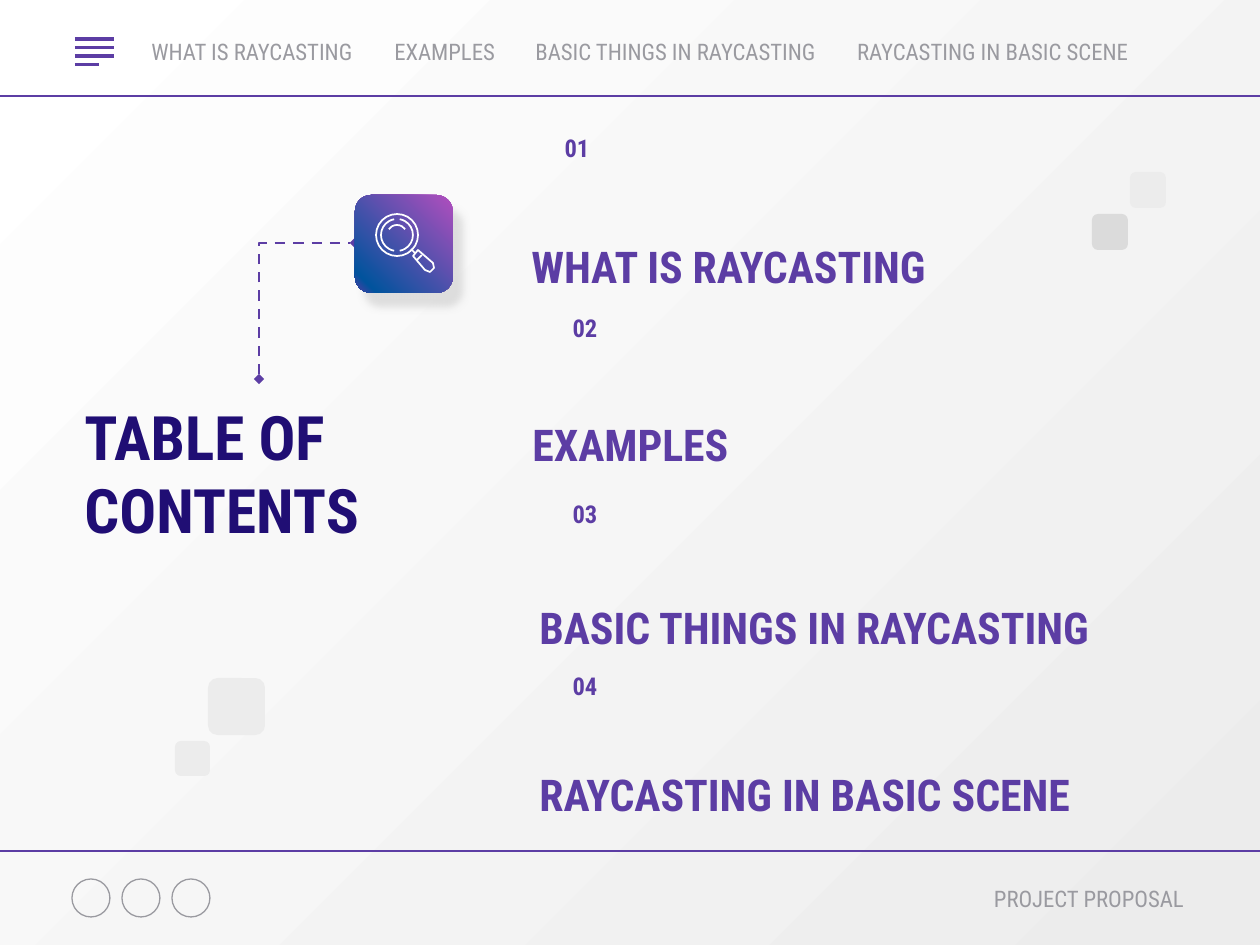
from lxml import etree
from pptx import Presentation
from pptx.dml.color import RGBColor
from pptx.enum.dml import MSO_LINE
from pptx.enum.shapes import MSO_CONNECTOR, MSO_SHAPE
from pptx.enum.text import MSO_ANCHOR, PP_ALIGN
from pptx.oxml.ns import qn
from pptx.util import Pt

PX = 914400 / 126
FONT = "Roboto Condensed"
LEFT, CENTER, RIGHT = PP_ALIGN.LEFT, PP_ALIGN.CENTER, PP_ALIGN.RIGHT
TOP, MIDDLE = MSO_ANCHOR.TOP, MSO_ANCHOR.MIDDLE
ROUNDED, OVAL, ARC = MSO_SHAPE.ROUNDED_RECTANGLE, MSO_SHAPE.OVAL, MSO_SHAPE.ARC
STRAIGHT, ELBOW = MSO_CONNECTOR.STRAIGHT, MSO_CONNECTOR.ELBOW

PURPLE = RGBColor(0x5C, 0x3D, 0xA4)
NAVY = RGBColor(0x20, 0x0E, 0x74)
GRAY = RGBColor(0x9A, 0x9A, 0xA0)
SILVER = RGBColor(0xDB, 0xDB, 0xDB)
PALE = RGBColor(0xEC, 0xEC, 0xEC)
WHITE = RGBColor(0xFF, 0xFF, 0xFF)
PINK = RGBColor(0xB2, 0x4E, 0xBE)
BLUE = RGBColor(0x01, 0x53, 0x9D)
SHADOW = RGBColor(0xCC, 0xCC, 0xCC)

STYLES = {
    "title": {"size": Pt(35), "bold": True, "color": NAVY, "anchor": MIDDLE, "inset": 12.6},
    "heading": {"size": Pt(25), "bold": True, "color": PURPLE, "anchor": MIDDLE, "inset": 12.6},
    "number": {"size": Pt(14), "bold": True, "color": PURPLE, "anchor": TOP, "inset": 6.3},
    "label": {"size": Pt(13), "bold": False, "color": GRAY, "anchor": MIDDLE, "inset": 12.6},
}
# text, style, alignment, (left, top, width, height)
TEXTS = [
    ("TABLE OF CONTENTS", "title", LEFT, (72, 379, 375, 187)),
    ("WHAT IS RAYCASTING", "label", LEFT, (139, 24, 241, 55)),
    ("EXAMPLES", "label", LEFT, (382, 24, 131, 55)),
    ("BASIC THINGS IN RAYCASTING", "label", LEFT, (523, 24, 397, 55)),
    ("RAYCASTING IN BASIC SCENE", "label", CENTER, (840, 24, 305, 55)),
    ("PROJECT PROPOSAL", "label", RIGHT, (881, 871, 315, 55)),
    ("01", "number", CENTER, (527, 127, 100, 89)),
    ("WHAT IS RAYCASTING", "heading", LEFT, (519, 230, 479, 73)),
    ("02", "number", CENTER, (529, 307, 112, 89)),
    ("EXAMPLES", "heading", LEFT, (520, 408, 599, 73)),
    ("03", "number", CENTER, (529, 493, 112, 89)),
    ("BASIC THINGS IN RAYCASTING", "heading", LEFT, (527, 591, 682, 73)),
    ("04", "number", CENTER, (529, 665, 112, 89)),
    ("RAYCASTING IN BASIC SCENE", "heading", LEFT, (527, 758, 682, 73)),
]
# left, top, side, colour
SQUARES = [
    (1092, 214, 36, SILVER), (1130, 172, 36, PALE),
    (208, 678, 57, PALE), (175, 741, 35, PALE), (420, 241, 33, SILVER),
]
RULE_TOPS = [96, 851]
MENU_LEFT, MENU_TOP, MENU_GAP = 75, 39, 8.5
MENU_ENDS = [114, 114, 114, 99]
SOCIAL_LEFT, SOCIAL_TOP, SOCIAL_SIDE, SOCIAL_GAP, SOCIAL_COUNT = 72, 879, 38, 50, 3
ICON_BOX = (355, 195, 98, 98)
LENS_CENTER = (397, 235)
# radius, start and end angle in degrees
LENS_ARCS = [(16, 100, 260), (16, 280, 80), (10, 215, 325)]
HANDLE = [(413, 256), (418, 250), (433, 263), (434, 268), (430, 272), (425, 270)]
HANDLE_LINES = [(411, 249, 415, 253), (417, 260, 422, 255)]
ELBOW_START, ELBOW_END = (259, 379), (355, 243)


def emu(*lengths):
    return [round(length * PX) for length in lengths]


def add_node(parent, tag, **attributes):
    return etree.SubElement(parent, qn(tag), {k: str(v) for k, v in attributes.items()})


def set_gradient(fill, stops, clockwise):
    """Fill with (percent, colour) stops, the angle running clockwise."""
    fill.gradient()
    fill.gradient_angle = 360 - clockwise
    stop_list = fill.gradient_stops[0]._gs.getparent()
    for old in list(stop_list):
        stop_list.remove(old)
    for percent, color in stops:
        stop = add_node(stop_list, "a:gs", pos=percent * 1000)
        add_node(stop, "a:srgbClr", val=color)


def add_line(page, ends, color, width, kind=STRAIGHT):
    line = page.shapes.add_connector(kind, *emu(*ends))
    line.line.color.rgb = color
    line.line.width = Pt(width)
    add_node(line._element.spPr, "a:effectLst")
    return line


def paint(shape, fill=None, line=None, width=1):
    shape.shadow.inherit = False
    if fill is None:
        shape.fill.background()
    else:
        shape.fill.solid()
        shape.fill.fore_color.rgb = fill
    if line is None:
        shape.line.fill.background()
    else:
        shape.line.color.rgb = line
        shape.line.width = Pt(width)
    return shape


def add_circle(page, center, radius, color, width, kind=OVAL):
    x, y = center
    box = emu(x - radius, y - radius, 2 * radius, 2 * radius)
    return paint(page.shapes.add_shape(kind, *box), line=color, width=width)


def add_text(page, text, style, align, box):
    look = STYLES[style]
    frame = page.shapes.add_textbox(*emu(*box)).text_frame
    frame.word_wrap = True
    frame.vertical_anchor = look["anchor"]
    for side in ("left", "top", "right", "bottom"):
        setattr(frame, f"margin_{side}", emu(look["inset"])[0])
    para = frame.paragraphs[0]
    para.alignment = align
    span = para.add_run()
    span.text = text
    for name in ("size", "bold"):
        setattr(span.font, name, look[name])
    span.font.name = FONT
    span.font.color.rgb = look["color"]


def add_elbow(page):
    """Dashed path that rises from its start, then turns right to its end."""
    (x1, y1), (x2, y2) = ELBOW_START, ELBOW_END
    mid_x, mid_y = (x1 + x2) / 2, (y1 + y2) / 2
    half_w, half_h = (y1 - y2) / 2, (x2 - x1) / 2
    ends = (mid_x - half_w, mid_y - half_h, mid_x + half_w, mid_y + half_h)
    elbow = add_line(page, ends, PURPLE, 1.5, ELBOW)
    elbow.line.dash_style = MSO_LINE.DASH
    properties = elbow._element.spPr
    properties.find(qn("a:xfrm")).set("rot", str(270 * 60000))
    properties.find(qn("a:prstGeom")).set("prst", "bentConnector2")
    for tag in ("a:headEnd", "a:tailEnd"):
        add_node(properties.find(qn("a:ln")), tag, type="diamond")


def add_icon(page):
    tile = paint(page.shapes.add_shape(ROUNDED, *emu(*ICON_BOX)))
    set_gradient(tile.fill, [(0, PINK), (89, BLUE), (100, PURPLE)], 135)
    effects = tile._element.spPr.find(qn("a:effectLst"))
    shadow = add_node(effects, "a:outerShdw", blurRad=Pt(4.5), dist=Pt(9.8),
                      dir=55 * 60000, algn="bl", rotWithShape=0)
    add_node(add_node(shadow, "a:srgbClr", val=SHADOW), "a:alpha", val=60000)

    add_circle(page, LENS_CENTER, 21, WHITE, 1)
    for radius, *angles in LENS_ARCS:
        arc = add_circle(page, LENS_CENTER, radius, WHITE, 1, ARC)
        for index, degrees in enumerate(angles):
            arc.adjustments[index] = degrees * 0.6
    outline = page.shapes.build_freeform(*HANDLE[0], scale=PX)
    outline.add_line_segments(HANDLE[1:], close=True)
    paint(outline.convert_to_shape(), line=WHITE)
    for ends in HANDLE_LINES:
        add_line(page, ends, WHITE, 1)


def main():
    deck = Presentation()
    deck.slide_width, deck.slide_height = emu(1260, 945)
    page = deck.slides.add_slide(deck.slide_layouts[6])
    set_gradient(page.background.fill, [(0, WHITE), (100, PALE)], 45)

    for y in RULE_TOPS:
        add_line(page, (0, y, 1260, y), PURPLE, 0.75)
    for row, end in enumerate(MENU_ENDS):
        y = MENU_TOP + row * MENU_GAP
        add_line(page, (MENU_LEFT, y, end, y), PURPLE, 2.25)
    radius = SOCIAL_SIDE / 2
    for column in range(SOCIAL_COUNT):
        center = (SOCIAL_LEFT + radius + column * SOCIAL_GAP, SOCIAL_TOP + radius)
        add_circle(page, center, radius, GRAY, 0.75)

    add_elbow(page)
    for left, top, side, color in SQUARES:
        paint(page.shapes.add_shape(ROUNDED, *emu(left, top, side, side)), fill=color)
    add_icon(page)
    for entry in TEXTS:
        add_text(page, *entry)
    deck.save("out.pptx")


if __name__ == "__main__":
    main()
